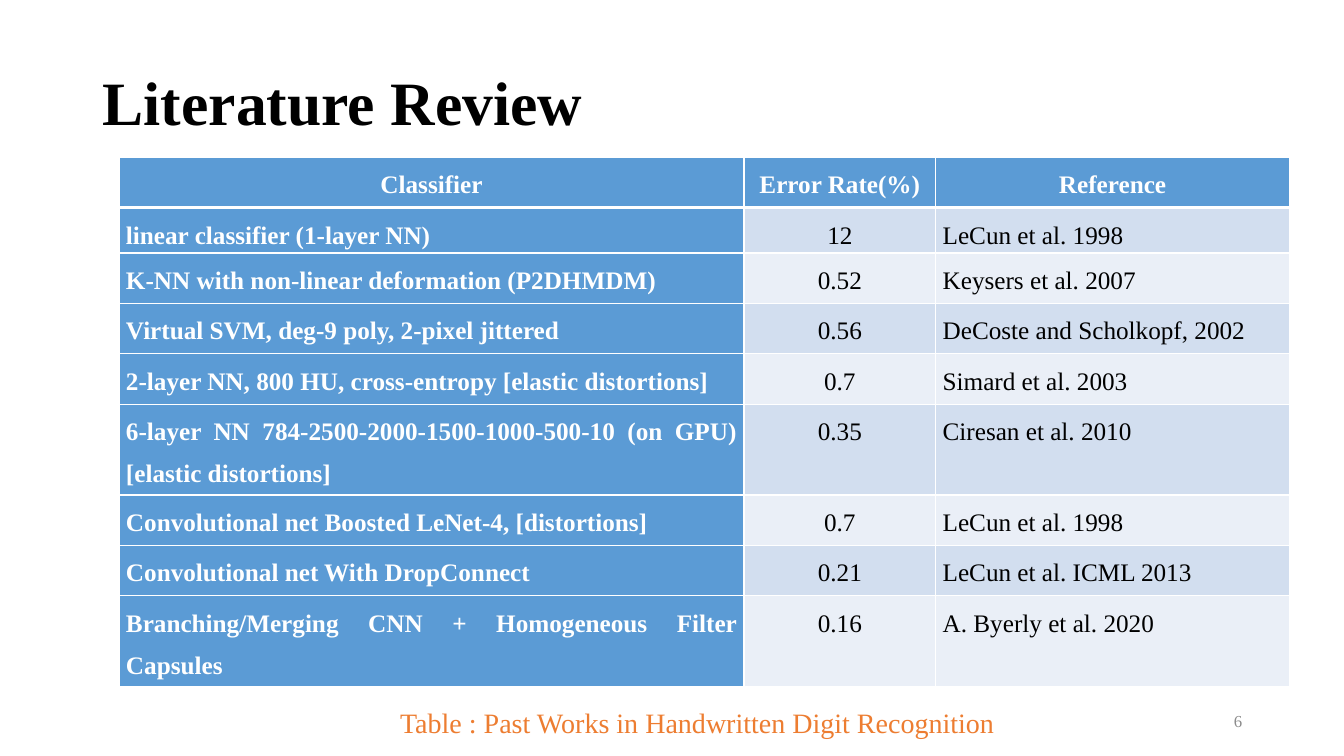
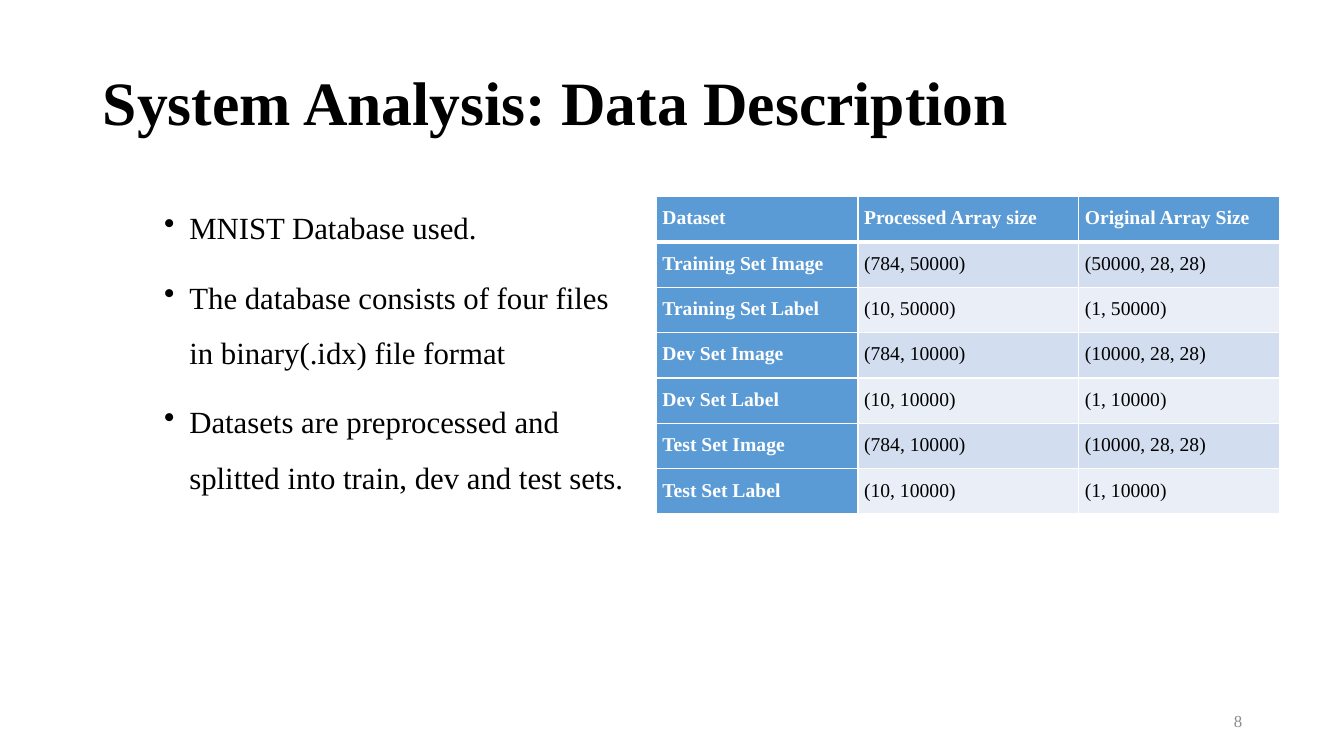
"""Build two slides on handwritten digit recognition: past work and dataset description."""
from dataclasses import dataclass

from lxml import etree
from pptx import Presentation
from pptx.dml.color import RGBColor
from pptx.enum.text import MSO_ANCHOR, MSO_AUTO_SIZE, PP_ALIGN
from pptx.oxml.ns import qn
from pptx.slide import Slide
from pptx.table import _Cell
from pptx.text.text import TextFrame, _Paragraph
from pptx.util import Inches, Pt

LEFT, CENTER, RIGHT, JUSTIFY = PP_ALIGN.LEFT, PP_ALIGN.CENTER, PP_ALIGN.RIGHT, PP_ALIGN.JUSTIFY
MIDDLE, TOP = MSO_ANCHOR.MIDDLE, MSO_ANCHOR.TOP
NO_FIT = MSO_AUTO_SIZE.NONE

FONT = "Times New Roman"
COLORS = {
    "text": "000000",
    "white": "FFFFFF",
    "header": "5B9BD5",
    "band_dark": "D2DEEF",
    "band_light": "EAEFF7",
    "caption": "ED7D31",
    "number": "8C8C8C",
}
TITLE_ONLY = 5


@dataclass(frozen=True)
class Box:
    left: float
    top: float
    width: float
    height: float

    def emu(self) -> tuple[int, int, int, int]:
        return Inches(self.left), Inches(self.top), Inches(self.width), Inches(self.height)


@dataclass(frozen=True)
class TableSpec:
    left: float
    top: float
    cols: list[float]
    heights: list[float]
    rows: list[tuple[str, ...]]
    size: int
    inset: float
    header_align: list[PP_ALIGN]
    body_align: list[PP_ALIGN]


TITLE_BOX = Box(0.92, 0.32, 11.5, 1.45)
NUMBER_BOX = Box(9.42, 6.95, 3, 0.4)
CAPTION_BOX = Box(3.87, 6.95, 6.33, 0.44)
BULLETS_BOX = Box(1.53, 1.84, 4.91, 4.58)

CLASSIFIERS = TableSpec(
    left=1.18,
    top=1.56,
    cols=[6.2, 1.9, 3.51],
    heights=[0.5, 0.42, 0.5, 0.5, 0.5, 0.85, 0.5, 0.5, 0.83],
    rows=[
        ("Classifier", "Error Rate(%)", "Reference"),
        ("linear classifier (1-layer NN)", "12", "LeCun et al. 1998"),
        ("K-NN with non-linear deformation (P2DHMDM)", "0.52", "Keysers et al. 2007"),
        ("Virtual SVM, deg-9 poly, 2-pixel jittered", "0.56", "DeCoste and Scholkopf, 2002"),
        ("2-layer NN, 800 HU, cross-entropy [elastic distortions]", "0.7", "Simard et al. 2003"),
        ("6-layer NN 784-2500-2000-1500-1000-500-10 (on GPU) [elastic distortions]",
         "0.35", "Ciresan et al. 2010"),
        ("Convolutional net Boosted LeNet-4, [distortions]", "0.7", "LeCun et al. 1998"),
        ("Convolutional net With DropConnect", "0.21", "LeCun et al. ICML 2013"),
        ("Branching/Merging CNN + Homogeneous Filter Capsules", "0.16", "A. Byerly et al. 2020"),
    ],
    size=18,
    inset=0.07,
    header_align=[CENTER] * 3,
    body_align=[JUSTIFY, CENTER, JUSTIFY],
)

DATASETS = TableSpec(
    left=6.51,
    top=1.95,
    cols=[2, 2.19, 1.99],
    heights=[0.45] * 7,
    rows=[
        ("Dataset", "Processed Array size", "Original Array Size"),
        ("Training Set Image", "(784, 50000)", "(50000, 28, 28)"),
        ("Training Set Label", "(10, 50000)", "(1, 50000)"),
        ("Dev Set Image", "(784, 10000)", "(10000, 28, 28)"),
        ("Dev Set Label", "(10, 10000)", "(1, 10000)"),
        ("Test Set Image", "(784, 10000)", "(10000, 28, 28)"),
        ("Test Set Label", "(10, 10000)", "(1, 10000)"),
    ],
    size=14,
    inset=0.06,
    header_align=[JUSTIFY] * 3,
    body_align=[JUSTIFY] * 3,
)

BULLETS = [
    "MNIST Database used.",
    "The database consists of four files in binary(.idx) file format",
    "Datasets are preprocessed and splitted into train, dev and test sets.",
]


def rgb(name: str) -> RGBColor:
    return RGBColor.from_string(COLORS[name])


def style(p: _Paragraph, size: int, color: str = "text", bold: bool = False,
          align: PP_ALIGN = LEFT) -> None:
    p.alignment = align
    p.font.name = FONT
    p.font.size = Pt(size)
    p.font.bold = bold
    p.font.color.rgb = rgb(color)


def add_text_box(s: Slide, box: Box, anchor: MSO_ANCHOR = TOP) -> TextFrame:
    tf = s.shapes.add_textbox(*box.emu()).text_frame
    tf.word_wrap = True
    tf.vertical_anchor = anchor
    return tf


def add_slide(prs: Presentation, title: str, number: int) -> Slide:
    s = prs.slides.add_slide(prs.slide_layouts[TITLE_ONLY])
    sp = s.shapes.title
    sp.left, sp.top, sp.width, sp.height = TITLE_BOX.emu()
    tf = sp.text_frame
    tf.text = title
    tf.auto_size = NO_FIT
    tf.vertical_anchor = MIDDLE
    p = tf.paragraphs[0]
    p.line_spacing = 0.9
    style(p, 44, bold=True)

    tf = add_text_box(s, NUMBER_BOX, MIDDLE)
    tf.text = str(number)
    style(tf.paragraphs[0], 12, "number", align=RIGHT)
    return s


def set_borders(cell: _Cell, row: int) -> None:
    widths = {"lnL": 1, "lnR": 1, "lnT": 3 if row == 1 else 1, "lnB": 3 if row == 0 else 1}
    tc_pr = cell._tc.get_or_add_tcPr()
    for i, (tag, width) in enumerate(widths.items()):
        ln = etree.Element(qn(f"a:{tag}"), w=str(Pt(width)))
        fill = etree.SubElement(ln, qn("a:solidFill"))
        etree.SubElement(fill, qn("a:srgbClr"), val=COLORS["white"])
        tc_pr.insert(i, ln)


def add_data_table(s: Slide, spec: TableSpec) -> None:
    box = Box(spec.left, spec.top, sum(spec.cols), sum(spec.heights))
    table = s.shapes.add_table(len(spec.rows), len(spec.cols), *box.emu()).table
    table.first_col = True
    for column, width in zip(table.columns, spec.cols):
        column.width = Inches(width)
    for r, values in enumerate(spec.rows):
        table.rows[r].height = Inches(spec.heights[r])
        aligns = spec.body_align if r else spec.header_align
        band = "band_dark" if r % 2 else "band_light"
        for c, value in enumerate(values):
            is_header = r == 0 or c == 0
            cell = table.cell(r, c)
            cell.margin_left = cell.margin_right = Inches(spec.inset)
            cell.margin_top = cell.margin_bottom = 0
            cell.fill.solid()
            cell.fill.fore_color.rgb = rgb("header" if is_header else band)
            set_borders(cell, r)
            cell.text = value
            p = cell.text_frame.paragraphs[0]
            p.line_spacing = 1.5
            p.space_after = Pt(6)
            style(p, spec.size, "white" if is_header else "text", is_header, aligns[c])


def add_bullets(s: Slide, items: list[str]) -> None:
    tf = add_text_box(s, BULLETS_BOX)
    tf.text = "\n".join(items)
    for p in tf.paragraphs:
        p.line_spacing = 1.5
        p.space_before = Pt(10)
        style(p, 22)
        p_pr = p._p.get_or_add_pPr()
        p_pr.set("marL", str(Inches(0.25)))
        p_pr.set("indent", str(-Inches(0.25)))
        bullet = etree.Element(qn("a:buChar"), char="•")
        p_pr.find(qn("a:defRPr")).addprevious(bullet)


def main() -> None:
    prs = Presentation()
    prs.slide_width, prs.slide_height = Inches(13.33), Inches(7.5)

    s = add_slide(prs, "Literature Review", 6)
    add_data_table(s, CLASSIFIERS)
    tf = add_text_box(s, CAPTION_BOX)
    tf.text = "Table : Past Works in Handwritten Digit Recognition"
    style(tf.paragraphs[0], 20, "caption")

    s = add_slide(prs, "System Analysis: Data Description", 8)
    add_bullets(s, BULLETS)
    add_data_table(s, DATASETS)

    prs.save("out.pptx")


if __name__ == "__main__":
    main()
